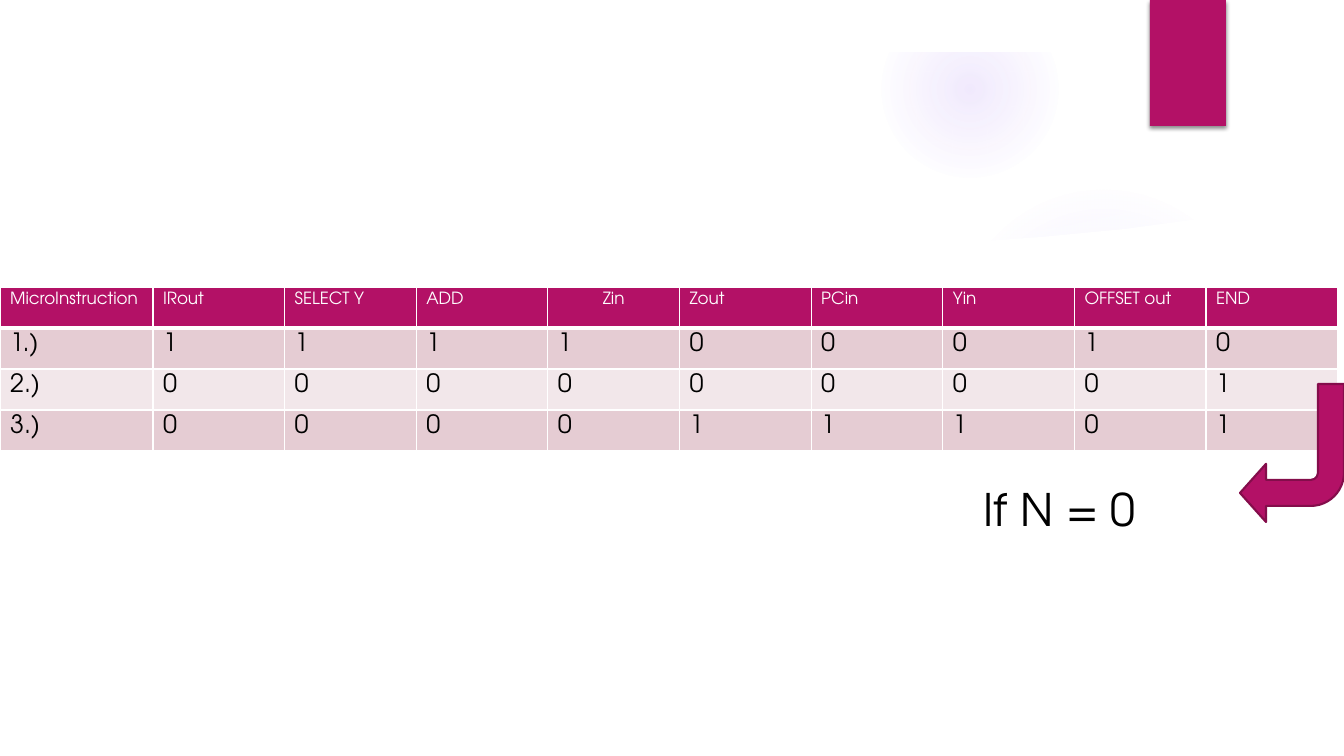
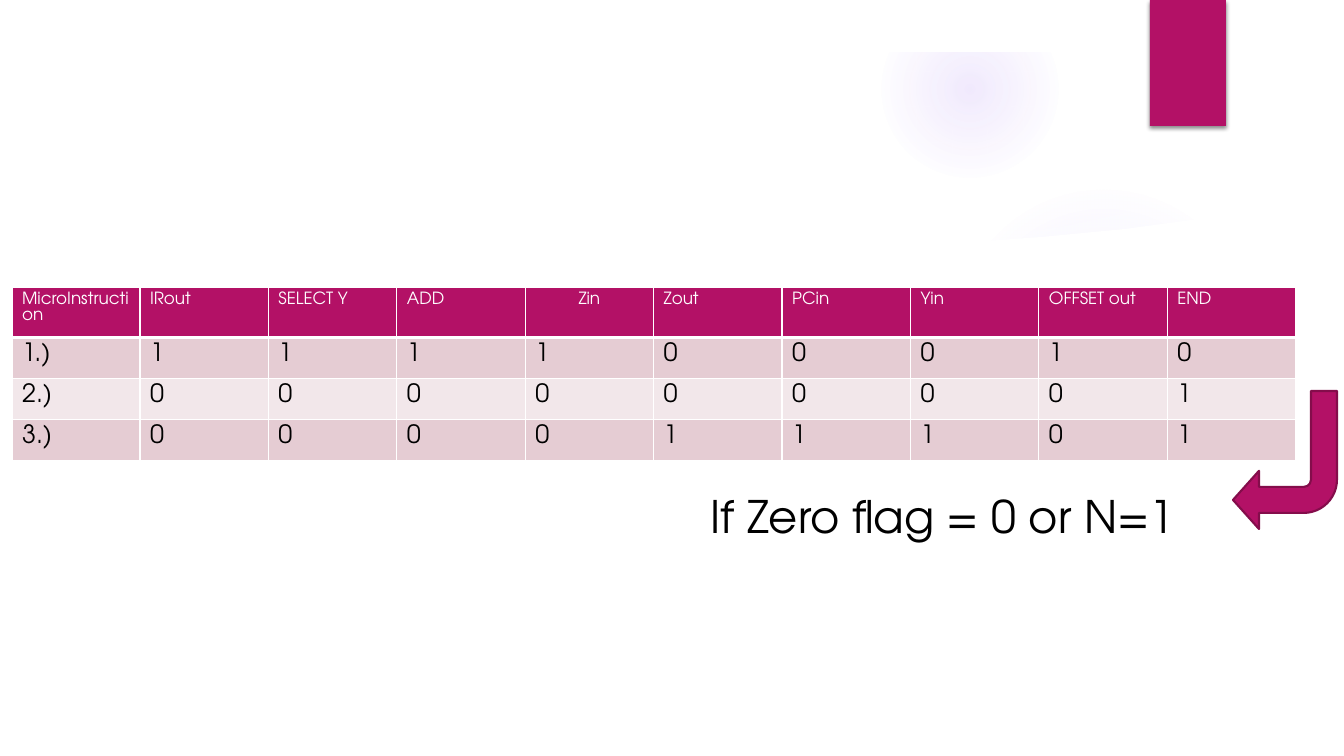
from dataclasses import dataclass

from pptx import Presentation
from pptx import util as u
from pptx.dml.color import RGBColor
from pptx.enum import shapes, text
from pptx.oxml import parse_xml
from pptx.oxml.ns import nsdecls, qn

PX = 914400 / 100.8
WIDTH, HEIGHT = 1344, 756
FONT = "TeX Gyre Adventor"
MAGENTA, DARK_MAGENTA, VIOLET = "B31166", "840D4B", "9B6BF2"
WHITE, BLACK = "FFFFFF", "000000"
BANDS = ("E5CCD3", "F2E7EA")
ROW_HEIGHT = 41

HEADERS = ("MicroInstruction", "IRout", "SELECT Y", "ADD", "Zin",
           "Zout", "PCin", "Yin", "OFFSET out", "END")
STEPS = (
    ("1.)", *"111100010"),
    ("2.)", *"000000001"),
    ("3.)", *"000011101"),
)

PANEL = ((50, 706), (50, 206), (251, 229), (492, 245), (706, 250), (957, 243),
         (1041, 237), (1125, 229), (1294, 206), (1294, 706))
RIBBON = ((941, 252), (1299, 216), (1293, 167), (1176, 202), (1061, 227), (937, 245))


@dataclass(frozen=True)
class Box:
    left: int
    top: int
    width: int
    height: int

    def emu(self) -> tuple[int, ...]:
        return tuple(map(px, (self.left, self.top, self.width, self.height)))


@dataclass(frozen=True)
class Glow:
    box: Box
    stops: tuple[tuple[int, int], ...]  # position and opacity, in percent


@dataclass(frozen=True)
class BranchSlide:
    condition: str
    condition_box: Box
    table_box: Box
    first_column: int
    arrow_box: Box


GLOWS = (
    Glow(Box(949, 184, 310, 310), ((0, 7), (36, 6), (69, 0))),
    Glow(Box(882, 1, 176, 176), ((0, 14), (36, 7), (73, 0))),
)
TABLE_HEIGHT = ROW_HEIGHT * (len(STEPS) + 1)
SLIDES = (
    BranchSlide("If N = 0", Box(974, 470, 197, 78),
                Box(0, 287, 1338, TABLE_HEIGHT), 153, Box(1240, 384, 104, 138)),
    BranchSlide("If Zero flag = 0 or N=1", Box(701, 470, 517, 92),
                Box(12, 287, 1284, TABLE_HEIGHT), 128, Box(1233, 391, 104, 138)),
)


def px(length: float) -> int:
    return round(length * PX)


def color(value: str) -> RGBColor:
    return RGBColor.from_string(value)


def paint(shape, fill: str, line: str | None = None) -> None:
    shape.shadow.inherit = False
    shape.fill.solid()
    shape.fill.fore_color.rgb = color(fill)
    if line:
        shape.line.color.rgb = color(line)
        shape.line.width = u.Pt(1.5)
    else:
        shape.line.fill.background()


def add_preset(page, kind, box: Box, fill: str, line: str | None = None):
    shape = page.shapes.add_shape(kind, *box.emu())
    paint(shape, fill, line)
    return shape


def add_outline(page, points, fill: str):
    builder = page.shapes.build_freeform(*points[0], scale=PX)
    builder.add_line_segments(points[1:])
    shape = builder.convert_to_shape()
    paint(shape, fill)
    return shape


def add_glow(page, glow: Glow) -> None:
    shape = add_preset(page, shapes.MSO_SHAPE.OVAL, glow.box, VIOLET)
    stops = "".join(
        f'<a:gs pos="{position * 1000}"><a:srgbClr val="{VIOLET}">'
        f'<a:alpha val="{opacity * 1000}"/></a:srgbClr></a:gs>'
        for position, opacity in glow.stops)
    gradient = parse_xml(
        f'<a:gradFill {nsdecls("a")} rotWithShape="1"><a:gsLst>{stops}</a:gsLst>'
        '<a:path path="circle"><a:fillToRect l="50000" t="50000" r="50000" b="50000"/>'
        '</a:path></a:gradFill>')
    properties = shape._element.spPr
    properties.replace(properties.find(qn("a:solidFill")), gradient)


def add_backdrop(page) -> None:
    """Draw the glows, the white shapes that crop them, and the top flag."""
    for glow in GLOWS:
        add_glow(page, glow)
    ribbon = add_outline(page, RIBBON, WHITE)
    ribbon_color = ribbon._element.spPr.find(qn("a:solidFill"))[0]
    ribbon_color.append(parse_xml(f'<a:alpha {nsdecls("a")} val="20000"/>'))
    add_outline(page, PANEL, WHITE)
    frame = add_preset(page, shapes.MSO_SHAPE.FRAME, Box(0, 0, WIDTH, HEIGHT), WHITE)
    frame.adjustments[0] = 52 / HEIGHT

    flag = add_preset(page, shapes.MSO_SHAPE.RECTANGLE, Box(1150, 0, 76, 126), MAGENTA)
    flag._element.spPr.find(qn("a:effectLst")).append(parse_xml(
        f'<a:outerShdw {nsdecls("a")} blurRad="38100" dist="25400" dir="5400000" '
        f'rotWithShape="0"><a:srgbClr val="{BLACK}"><a:alpha val="45000"/>'
        '</a:srgbClr></a:outerShdw>'))


def write(frame, words: str, size: int, ink: str) -> None:
    span = frame.paragraphs[0].add_run()
    span.text = words
    style = {"name": FONT, "size": u.Pt(size), "bold": False}
    for name, value in style.items():
        setattr(span.font, name, value)
    span.font.color.rgb = color(ink)


def set_borders(cell, top: int, bottom: int) -> None:
    """Give a cell white borders; top and bottom widths are in points."""
    properties = cell._tc.get_or_add_tcPr()
    for side, width in {"L": 1, "R": 1, "T": top, "B": bottom}.items():
        properties.append(parse_xml(
            f'<a:ln{side} {nsdecls("a")} w="{u.Pt(width)}"><a:solidFill>'
            f'<a:srgbClr val="{WHITE}"/></a:solidFill></a:ln{side}>'))


def add_signal_table(page, box: Box, first_column: int) -> None:
    rows = (HEADERS, *STEPS)
    table = page.shapes.add_table(len(rows), len(HEADERS), *box.emu()).table
    table.horz_banding = False
    signal_width = (box.width - first_column) / (len(HEADERS) - 1)
    for index, column in enumerate(table.columns):
        column.width = px(signal_width if index else first_column)
    for row_index, values in enumerate(rows):
        is_header = row_index == 0
        table.rows[row_index].height = px(ROW_HEIGHT)
        for column_index, value in enumerate(values):
            cell = table.cell(row_index, column_index)
            set_borders(cell, 3 if row_index == 1 else 1, 3 if is_header else 1)
            cell.fill.solid()
            cell.fill.fore_color.rgb = color(
                MAGENTA if is_header else BANDS[(row_index - 1) % 2])
            write(cell.text_frame, value, 12 if is_header else 18,
                  WHITE if is_header else BLACK)
    zin = table.cell(0, HEADERS.index("Zin"))
    zin.text_frame.paragraphs[0].alignment = text.PP_ALIGN.CENTER


def add_branch_arrow(page, box: Box) -> None:
    arrow = add_preset(page, shapes.MSO_SHAPE.BENT_ARROW, box, MAGENTA, DARK_MAGENTA)
    arrow.rotation = 180
    for index, value in enumerate((0.25, 0.28, 0.25, 0.32)):
        arrow.adjustments[index] = value


def add_condition(page, words: str, box: Box) -> None:
    frame = page.shapes.add_textbox(*box.emu()).text_frame
    layout = {"word_wrap": True, "vertical_anchor": text.MSO_ANCHOR.MIDDLE}
    for name, value in layout.items():
        setattr(frame, name, value)
    write(frame, words, 32, BLACK)


def main() -> None:
    deck = Presentation()
    deck.slide_width, deck.slide_height = px(WIDTH), px(HEIGHT)
    for branch in SLIDES:
        page = deck.slides.add_slide(deck.slide_layouts[6])
        add_backdrop(page)
        add_signal_table(page, branch.table_box, branch.first_column)
        add_branch_arrow(page, branch.arrow_box)
        add_condition(page, branch.condition, branch.condition_box)
    deck.save("out.pptx")


if __name__ == "__main__":
    main()
